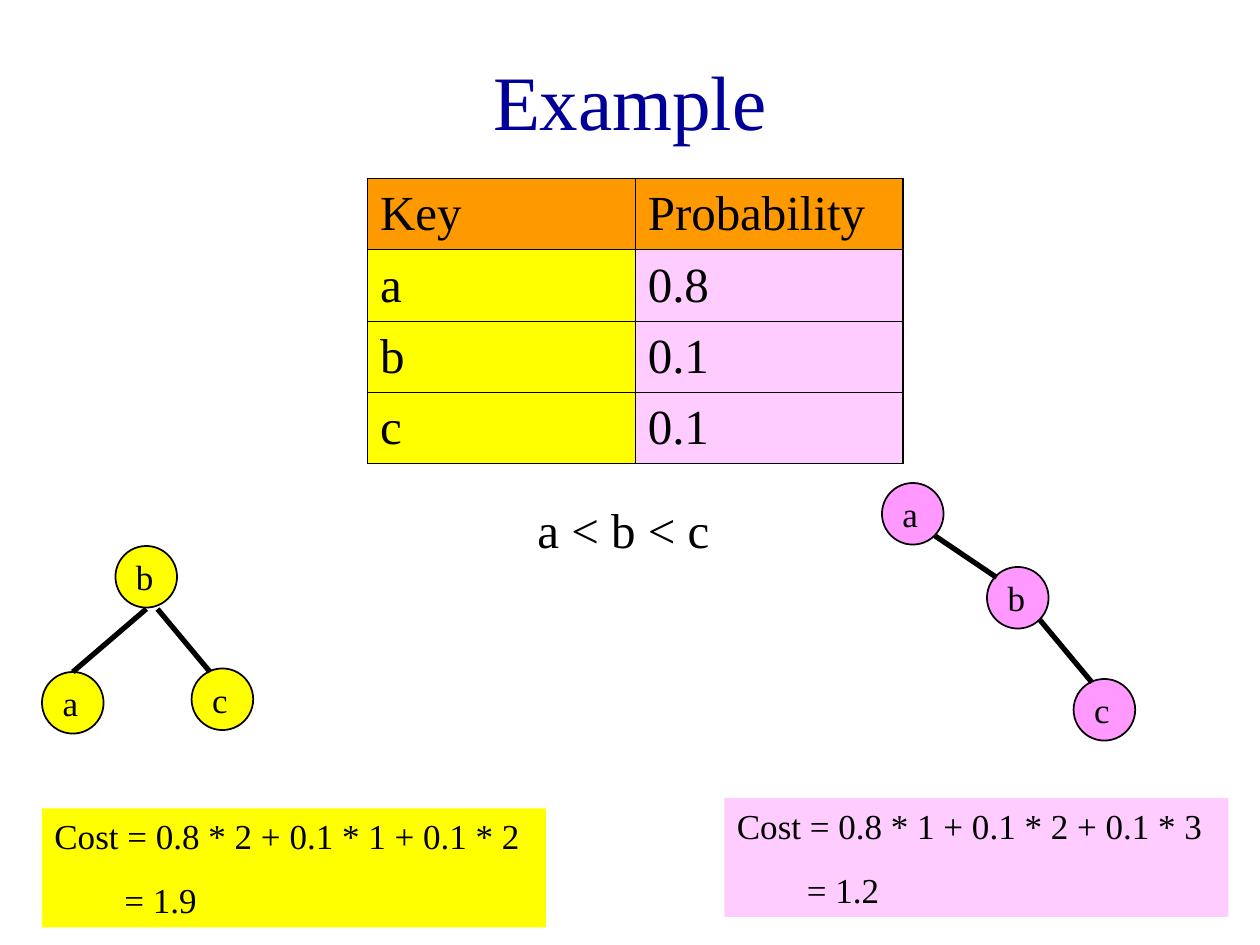
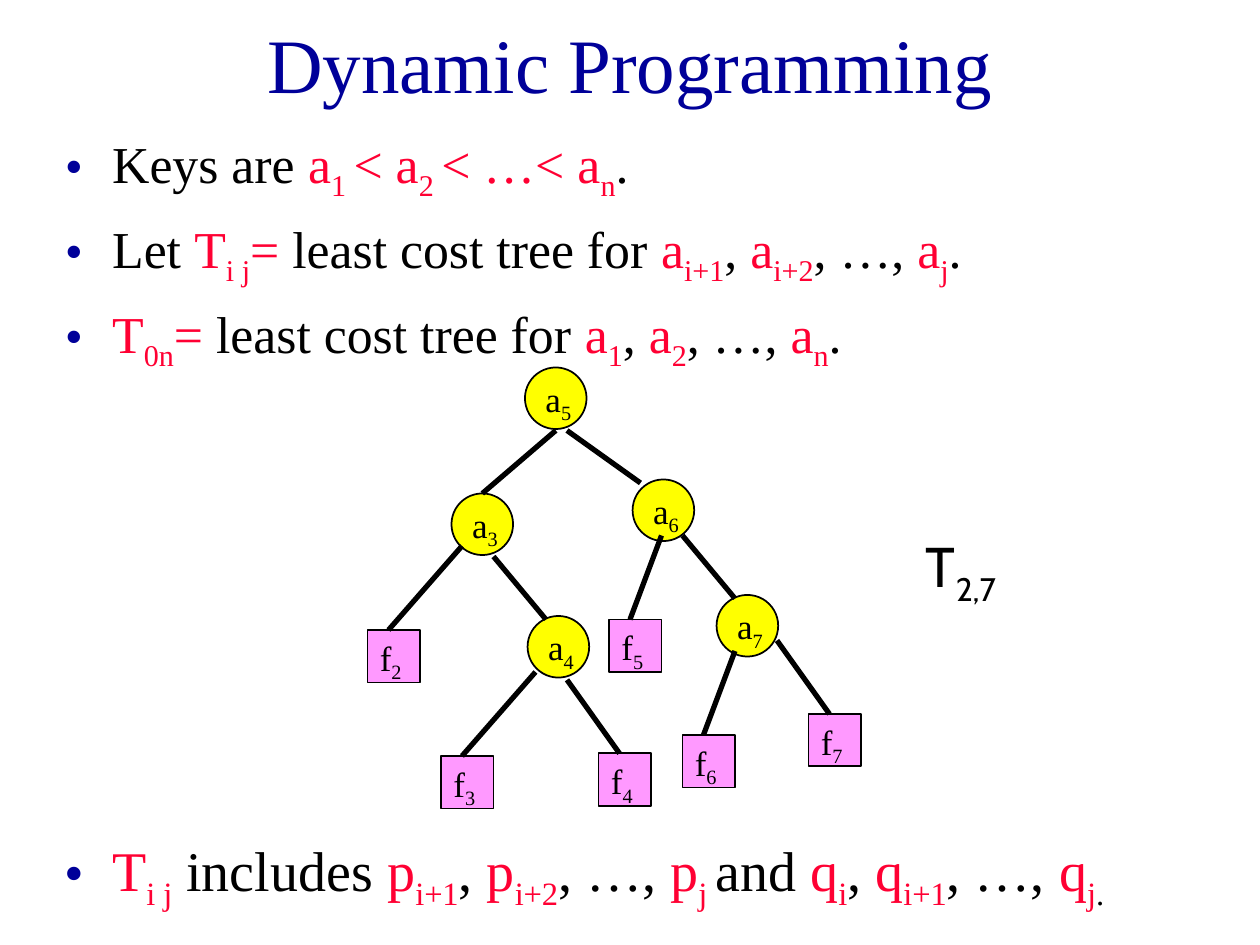
import itertools

import pptx
import pptx.dml.color
import pptx.enum.shapes
import pptx.enum.text
import pptx.oxml.ns
import pptx.util
from lxml import etree

Pt = pptx.util.Pt
SHAPES = pptx.enum.shapes.MSO_SHAPE
ANCHORS = pptx.enum.text.MSO_ANCHOR
SERIF, SANS = "Times New Roman", "Cabin"
BLACK, WHITE, NAVY, RED = "000000", "FFFFFF", "000099", "FF0033"
YELLOW, ORANGE, PINK, PALE_PINK = "FFFF00", "FF9900", "FF99FF", "FFCCFF"
CIRCLE, SQUARE = 35.2, 30
LEAF_JOIN = 12


def rgb(value):
    return pptx.dml.color.RGBColor.from_string(value)


def fill_with(target, color):
    target.fill.solid()
    target.fill.fore_color.rgb = rgb(color)


def sub_element(parent, tag, **attributes):
    return etree.SubElement(parent, pptx.oxml.ns.qn(tag), attributes)


def add_runs(paragraph, marked, size, color=BLACK, font=SERIF):
    """Add runs from marked text: ~ toggles red, _ toggles subscript."""
    red = subscript = False
    for mark, chars in itertools.groupby(marked, lambda c: c if c in "~_" else ""):
        if mark == "~":
            red = not red
        elif mark == "_":
            subscript = not subscript
        else:
            run = paragraph.add_run()
            run.text = "".join(chars)
            run.font.size = Pt(size)
            run.font.name = font
            run.font.color.rgb = rgb(RED if red else color)
            if subscript:
                run._r.get_or_add_rPr().set("baseline", "-25000")


def add_titled_slide(deck, title, box):
    slide = deck.slides.add_slide(deck.slide_layouts[5])
    heading = slide.shapes.title
    heading.left, heading.top, heading.width, heading.height = map(Pt, box)
    frame = heading.text_frame
    frame.vertical_anchor = ANCHORS.MIDDLE
    frame.paragraphs[0].alignment = pptx.enum.text.PP_ALIGN.CENTER
    add_runs(frame.paragraphs[0], title, 44, NAVY)
    return slide


def add_text(slide, box, lines, size, fill=None, font=SERIF, gap=0, bullets=False, indent=0):
    """Add a text box; indent applies to every line after the first."""
    area = slide.shapes.add_textbox(*map(Pt, box))
    if fill:
        fill_with(area, fill)
    frame = area.text_frame
    frame.word_wrap = True
    for number, line in enumerate(lines):
        paragraph = frame.paragraphs[0] if number == 0 else frame.add_paragraph()
        properties = paragraph._p.get_or_add_pPr()
        if number:
            paragraph.space_before = Pt(gap)
            properties.set("marL", str(Pt(indent)))
        if bullets:
            properties.set("marL", str(Pt(27)))
            properties.set("indent", str(Pt(-27)))
            bullet_color = sub_element(properties, "a:buClr")
            sub_element(bullet_color, "a:srgbClr", val=NAVY)
            sub_element(properties, "a:buFont", typeface=SERIF)
            sub_element(properties, "a:buChar", char="•")
        add_runs(paragraph, line, size, font=font)


def add_node(slide, kind, left, top, size, label, fill, insets):
    node = slide.shapes.add_shape(kind, Pt(left), Pt(top), Pt(size), Pt(size))
    node.shadow.inherit = False
    fill_with(node, fill)
    node.line.color.rgb = rgb(BLACK)
    node.line.width = Pt(1)
    frame = node.text_frame
    frame.margin_left, frame.margin_top = map(Pt, insets)
    frame.margin_right = frame.margin_bottom = 0
    frame.word_wrap = True
    frame.vertical_anchor = ANCHORS.TOP
    frame.paragraphs[0].alignment = pptx.enum.text.PP_ALIGN.LEFT
    add_runs(frame.paragraphs[0], label, 20)


def add_branch(slide, *ends):
    branch = slide.shapes.add_connector(
        pptx.enum.shapes.MSO_CONNECTOR.STRAIGHT, *map(Pt, ends))
    branch.line.color.rgb = rgb(BLACK)
    branch.line.width = Pt(3)
    sub_element(branch._element.spPr, "a:effectLst")


def add_tree(slide, origin, keys, branches, fill, leaves=()):
    """Draw keys (label, x, y), branches (x1, y1, x2, y2) and leaves
    (label, x, y, branch x, branch y), all relative to origin."""
    left, top = origin
    for label, x, y in keys:
        add_node(slide, SHAPES.OVAL, left + x, top + y, CIRCLE, label, fill, (6.6, 0.4))
    for label, x, y, _, _ in leaves:
        add_node(slide, SHAPES.RECTANGLE, left + x, top + y, SQUARE, label, PINK, (7.2, 3.6))
    leaf_branches = [(bx, by, x + LEAF_JOIN, y) for _, x, y, bx, by in leaves]
    for x1, y1, x2, y2 in [*branches, *leaf_branches]:
        add_branch(slide, left + x1, top + y1, left + x2, top + y2)


def add_border(cell, side, width):
    line = sub_element(cell._tc.get_or_add_tcPr(), "a:ln" + side, w=str(Pt(width)))
    sub_element(sub_element(line, "a:solidFill"), "a:srgbClr", val=BLACK)


def add_probability_table(slide, box):
    rows = [("Key", "Probability"), ("a", "0.8"), ("b", "0.1"), ("c", "0.1")]
    last = len(rows) - 1
    table = slide.shapes.add_table(len(rows), 2, *map(Pt, box)).table
    table.first_row = table.horz_banding = False
    for r, row in enumerate(rows):
        for c, text in enumerate(row):
            cell = table.cell(r, c)
            cell.vertical_anchor = ANCHORS.MIDDLE
            outer_sides = {"L": c == 0, "R": c == 1, "T": r == 0, "B": r == last}
            for side, outer in outer_sides.items():
                add_border(cell, side, 1.08 if outer else 0.45)
            fill_with(cell, ORANGE if r == 0 else (YELLOW, PALE_PINK)[c])
            add_runs(cell.text_frame.paragraphs[0], text, 28)


def add_cost(slide, left, top, terms, total, fill):
    add_text(slide, (left, top, 288, 68), ["Cost = " + terms, "= " + total], 20,
             fill, gap=12.5, indent=40)


def build_example(deck):
    slide = add_titled_slide(deck, "Example", (54, 12, 612, 90))
    add_probability_table(slide, (210, 102, 306, 163))
    add_tree(slide, (24, 312), [("b", 42, 0), ("a", 0, 72), ("c", 85.5, 70)],
             [(59.6, 36, 17.6, 72), (66, 36, 96, 72)], YELLOW)
    add_text(slide, (300, 282, 114, 41), ["a < b < c"], 28, WHITE)
    add_cost(slide, 24, 462, "0.8 * 2 + 0.1 * 1 + 0.1 * 2", "1.9", YELLOW)
    add_tree(slide, (504, 276), [("a", 0, 0), ("b", 60, 48), ("c", 109.5, 112)],
             [(30, 30, 65.5, 54), (90, 78, 120, 114)], PINK)
    add_cost(slide, 414, 456, "0.8 * 1 + 0.1 * 2 + 0.1 * 3", "1.2", PALE_PINK)


def build_dynamic_programming(deck):
    slide = add_titled_slide(deck, "Dynamic Programming", (54, 0, 612, 72))
    definitions = [
        "Keys are ~a_1 _< a_2 _< …< a_n_~.",
        "Let ~T_i j_=~ least cost tree for ~a_i+1_~, ~a_i+2_~, …, ~a_j_~.",
        "~T_0n_=~ least cost tree for ~a_1_~, ~a_2_~, …, ~a_n_~.",
    ]
    add_text(slide, (30, 72, 672, 144), definitions, 29.6, gap=8, bullets=True)
    keys = [("a_5_", 90, 0), ("a_3_", 48, 72), ("a_6_", 151.5, 64),
            ("a_7_", 199.5, 130), ("a_4_", 91.5, 142)]
    branches = [(107.6, 36, 65.6, 72), (114, 36, 156, 66),
                (180, 96, 210, 132), (72, 108, 102, 144)]
    leaves = [("f_2_", 0, 150, 54, 102), ("f_3_", 42, 222, 96, 174),
              ("f_5_", 138, 144, 168, 96), ("f_4_", 132, 220.5, 114, 178.5),
              ("f_7_", 252, 198, 234, 156), ("f_6_", 180, 210, 210, 162)]
    add_tree(slide, (210, 210), keys, branches, YELLOW, leaves)
    contents = ("~T_i j_~ includes ~p_i+1_~, ~p_i+2_~, …, ~p_j _~and "
                "~q_i_~, ~q_i+1_~, …, ~q_j~._")
    add_text(slide, (30, 474, 654, 66), [contents], 32, bullets=True)
    add_text(slide, (522, 300, 84, 51), ["T_2,7_"], 32, WHITE, SANS)


def main():
    deck = pptx.Presentation()
    deck.slide_width, deck.slide_height = Pt(720), Pt(540)
    build_example(deck)
    build_dynamic_programming(deck)
    deck.save("out.pptx")


if __name__ == "__main__":
    main()
